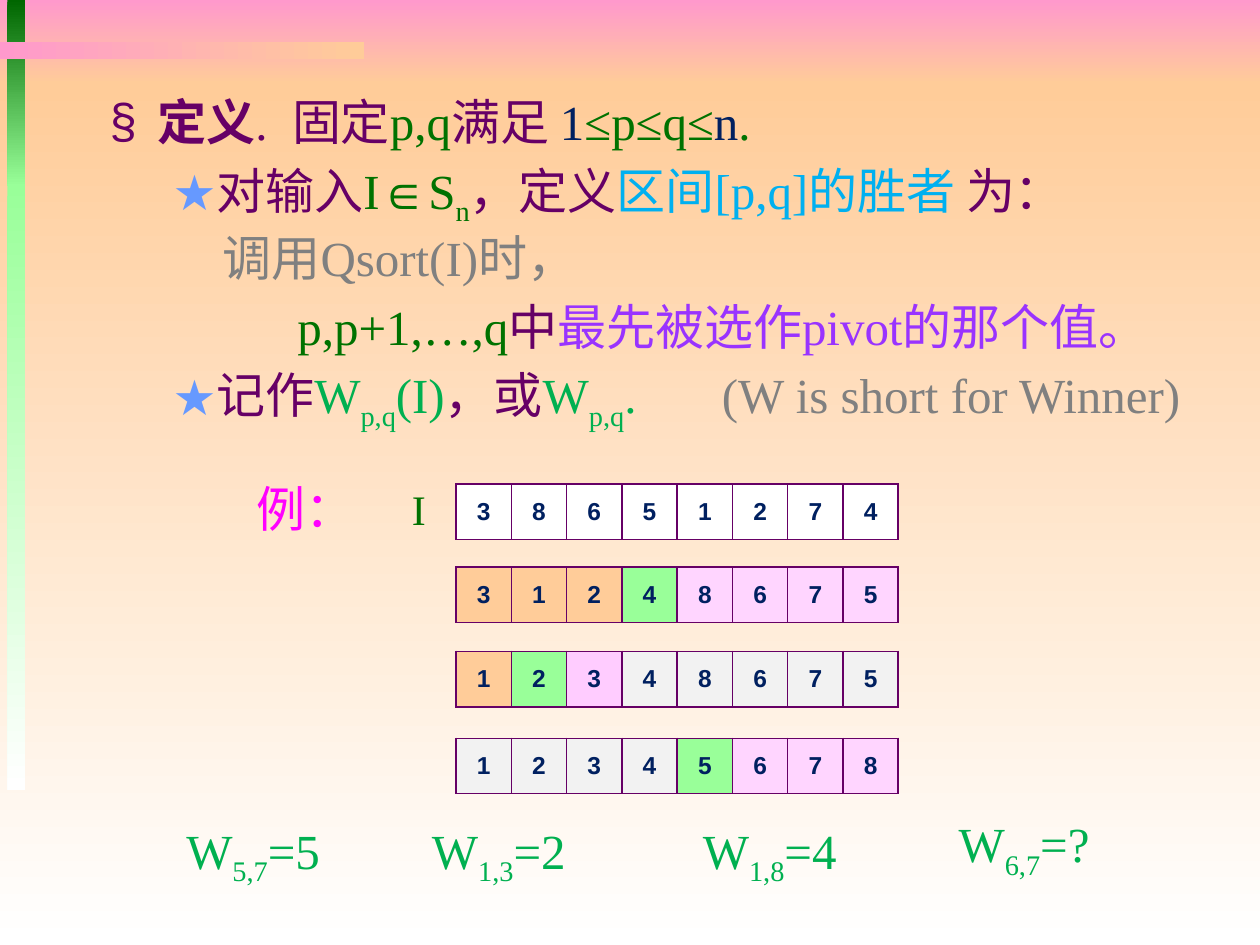
from lxml.etree import SubElement
from pptx import Presentation
from pptx.dml.color import RGBColor
from pptx.enum.shapes import MSO_SHAPE
from pptx.enum.text import MSO_ANCHOR, MSO_AUTO_SIZE, PP_ALIGN
from pptx.oxml import parse_xml
from pptx.oxml.ns import nsdecls, qn
from pptx.util import Inches, Pt

prs = Presentation()
prs.slide_width, prs.slide_height = Inches(10), Inches(7.5)
col, row = prs.slide_width / 100, prs.slide_height / 75
s = prs.slides.add_slide(prs.slide_layouts[1])
title, body = s.placeholders
title._element.getparent().remove(title._element)


def place(x, y, w, h):
    return [int(v) for v in (x * col, y * row, w * col, h * row)]


def write(p, runs, size=28, font="Times New Roman"):
    for text, color, *style in runs:
        if text == "\n":
            p.add_line_break()
            continue
        r = p.add_run()
        r.text = text
        r.font.size = Pt(size)
        r.font.name = font
        r.font.bold = "bold" in style
        r.font.color.rgb = RGBColor.from_string(color)
        if "sub" in style:
            r._r.get_or_add_rPr().set("baseline", "-25000")


PURPLE, GREEN, NAVY, GRAY, JADE = "660066", "007200", "002060", "808080", "00B050"
PINK, PEACH, LIME, WHITE = "FF99CC", "FFCC99", "99FF99", "FFFFFF"

bands = [
    (0, 0, 100, 6.7, PINK, PEACH, 270),
    (0, 6.7, 100, 68.3, PEACH, WHITE, 270),
    (0.6, 0, 1.4, 14.8, "006600", LIME, 270),
    (0.6, 14.6, 1.4, 48.1, LIME, WHITE, 270),
    (0, 3.3, 28.9, 1.4, PINK, PEACH, 0),
]
for *area, start, end, angle in bands:
    band = s.shapes.add_shape(MSO_SHAPE.RECTANGLE, *place(*area))
    band.shadow.inherit = False
    band.line.fill.background()
    band.fill.gradient()
    band.fill.gradient_angle = angle
    for stop, color in zip(band.fill.gradient_stops, (start, end)):
        stop.color.rgb = RGBColor.from_string(color)

s.shapes._spTree.append(body._element)
body.left, body.top, body.width, body.height = place(7.7, 6.8, 90.2, 29.5)
tf = body.text_frame
tf.word_wrap = True
tf.auto_size = MSO_AUTO_SIZE.NONE
paragraphs = [
    (0, 3.8, -3.8, "§", PURPLE, [
        ("定义", PURPLE, "bold"), (".  固定", PURPLE), ("p,q", GREEN), ("满足 ", PURPLE),
        ("1", NAVY), ("≤p≤q≤", GREEN), ("n", NAVY), (".", GREEN)]),
    (1, 8.1, -3.1, "★", "6699FF", [
        ("对输入", PURPLE), ("I∈S", GREEN), ("n", GREEN, "sub"), ("，定义", PURPLE),
        ("区间[p,q]的胜者 ", "00B0F0"), ("为：", PURPLE), ("\n", PURPLE),
        (" 调用Qsort(I)时，", GRAY)]),
    (2, 14.9, 0, None, None, [
        ("p,p+1,…,q", GREEN), ("中", PURPLE), ("最先被选作pivot的那个值。", "9933FF")]),
    (1, 8.1, -3.1, "★", "6699FF", [
        ("记作", PURPLE), ("W", JADE), ("p,q", JADE, "sub"), ("(I)", JADE), ("，或", PURPLE),
        ("W", JADE), ("p,q", JADE, "sub"), (".", JADE), ("\t", JADE),
        ("(W is short for Winner)", GRAY)]),
]
for i, (level, margin, indent, bullet, color, runs) in enumerate(paragraphs):
    p = tf.paragraphs[0] if i == 0 else tf.add_paragraph()
    p.level = level
    pPr = p._p.get_or_add_pPr()
    pPr.set("marL", str(int(margin * col)))
    pPr.set("indent", str(int(indent * col)))
    if bullet:
        SubElement(SubElement(pPr, qn("a:buClr")), qn("a:srgbClr")).set("val", color)
        SubElement(pPr, qn("a:buFont")).set("typeface", "Arial")
        SubElement(pPr, qn("a:buChar")).set("char", bullet)
    else:
        SubElement(pPr, qn("a:buNone"))
    if any(text == "\t" for text, *_ in runs):
        tab = SubElement(SubElement(pPr, qn("a:tabLst")), qn("a:tab"))
        tab.set("pos", str(int(48.6 * col)))
        tab.set("algn", "l")
    write(p, runs)

fills = {"w": WHITE, "o": PEACH, "g": LIME, "p": "FFD5FF", "m": "FFCCFF", "d": "F2F2F2"}
steps = [
    (38.4, "38651274", "wwwwwwww"),
    (45, "31248675", "ooogpppp"),
    (51.7, "12348675", "ogmddddd"),
    (58.6, "12345678", "ddddgppp"),
]
for top, digits, codes in steps:
    table = s.shapes.add_table(1, len(digits), *place(36.2, top, 35.1, 4.4)).table
    table.first_row = table.horz_banding = False
    for cell, digit, code in zip(table.iter_cells(), digits, codes):
        cell.margin_left = cell.margin_right = Inches(0.08)
        cell.margin_top = cell.margin_bottom = Inches(0.04)
        cell.vertical_anchor = MSO_ANCHOR.MIDDLE
        p = cell.text_frame.paragraphs[0]
        p.alignment = PP_ALIGN.CENTER
        write(p, [(digit, NAVY, "bold")], 14, "Arial")
        tcPr = cell._tc.get_or_add_tcPr()
        for side in ("lnL", "lnR", "lnT", "lnB"):
            tcPr.append(parse_xml(
                f'<a:{side} {nsdecls("a")} w="12700"><a:solidFill>'
                f'<a:srgbClr val="{PURPLE}"/></a:solidFill></a:{side}>'))
        cell.fill.solid()
        cell.fill.fore_color.rgb = RGBColor.from_string(fills[code])

labels = [
    ((31.7, 37.9, 3.1, 5), [("I", GREEN)], 24, "Times New Roman"),
    ((19.4, 37.5, 10.3, 5.7), [("例：", "FF00FF")], 28, "Arial"),
]
winners = [
    (13.8, 64.6, 14.1, "5,7", "=5"),
    (33.3, 64.6, 14.8, "1,3", "=2"),
    (54.8, 64.6, 13.7, "1,8", "=4"),
    (75.1, 64.1, 13.1, "6,7", "=?"),
]
for x, y, w, pair, value in winners:
    runs = [("W", JADE), (pair, JADE, "sub"), (value, JADE)]
    labels.append(((x, y, w, 5.7), runs, 28, "Times New Roman"))
for area, runs, size, font in labels:
    tf = s.shapes.add_textbox(*place(*area)).text_frame
    tf.word_wrap = True
    write(tf.paragraphs[0], runs, size, font)

prs.save("out.pptx")
